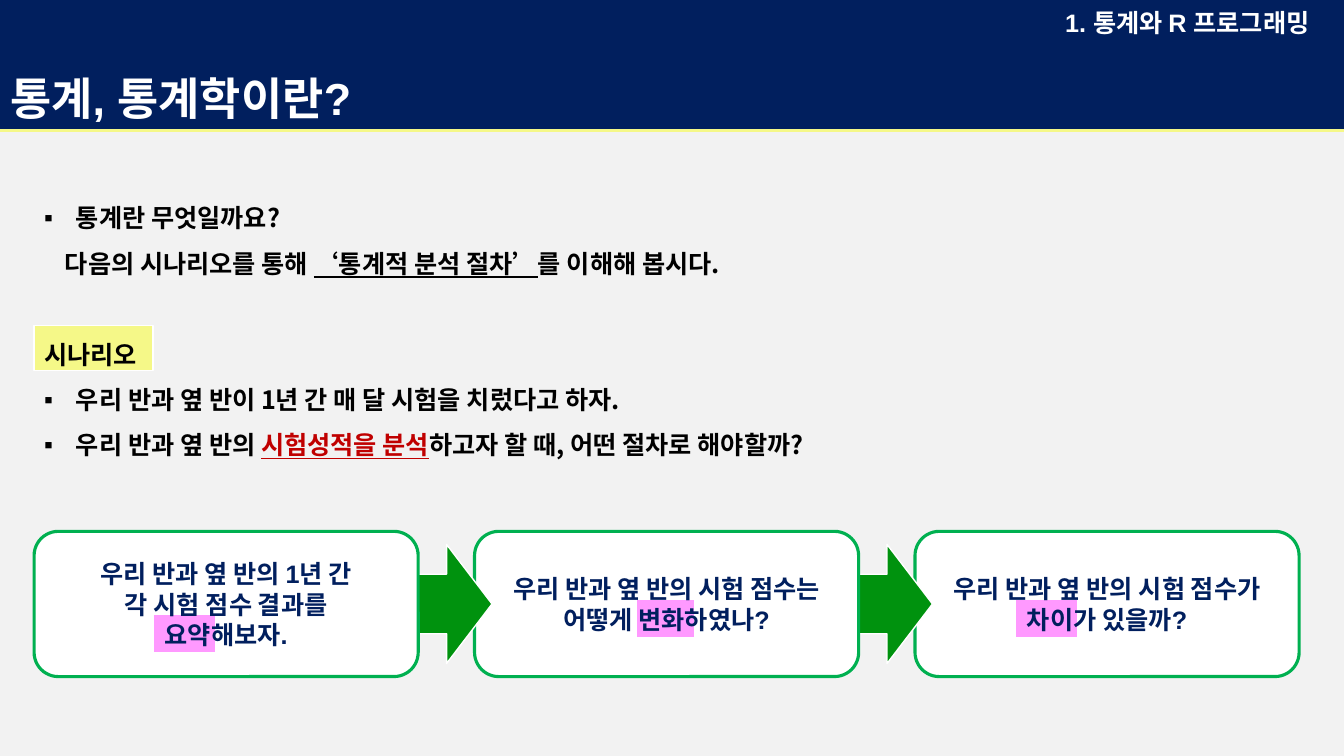
from dataclasses import dataclass

from lxml import etree
from pptx import Presentation
from pptx.dml.color import RGBColor
from pptx.enum import shapes, text
from pptx.oxml import ns
from pptx.util import Cm, Pt


@dataclass(frozen=True)
class Theme:
    latin: str = "Arial"
    korean: str = "Noto Sans CJK KR"
    title_size: int = 32
    text_size: int = 18
    line_size: float = 2.25
    thin_line: float = 1
    background: str = "F2F2F2"
    navy: str = "011F5E"
    white: str = "FFFFFF"
    black: str = "000000"
    red: str = "C00000"
    yellow: str = "F5F888"
    pink: str = "FF99FF"
    border: str = "00B050"
    arrow: str = "00920E"


WIDTH, HEIGHT, BAND_HEIGHT = 33.87, 19.05, 3.28
MARGIN = 0.86
CARD_TOP, CARD_WIDTH, CARD_HEIGHT, CARD_STEP = 13.39, 9.68, 3.66, 11.1
ARROW_OFFSET = 9.25

# Text of each card, with left, top and width of its marked word
CARDS = [
    (["우리 반과 옆 반의 1년 간", "각 시험 점수 결과를", "요약해보자."], (3.86, 15.49, 1.57)),
    (["우리 반과 옆 반의 시험 점수는 어떻게 변화하였나?"], (16.03, 15.09, 1.47)),
    (["우리 반과 옆 반의 시험 점수가 차이가 있을까?"], (25.6, 15.09, 1.57)),
]

# Each paragraph: bulleted, left indent, space before, runs of (text, colour, underlined)
BLACK = Theme.black
BODY = [
    (True, 0.8, 0, [("통계란 무엇일까요?", BLACK, False)]),
    (False, 0.52, 0, [("다음의 시나리오를 통해 ", BLACK, False),
                      ("‘통계적 분석 절차’", BLACK, True),
                      ("를 이해해 봅시다.", BLACK, False)]),
    (False, 0, 32.5, [("시나리오", BLACK, False)]),
    (True, 0.8, 0, [("우리 반과 옆 반이 1년 간 매 달 시험을 치렀다고 하자.", BLACK, False)]),
    (True, 0.8, 0, [("우리 반과 옆 반의 ", BLACK, False),
                    ("시험성적을 분석", Theme.red, True),
                    ("하고자 할 때, 어떤 절차로 해야할까?", BLACK, False)]),
]


class SlideBuilder:
    def __init__(self, presentation, theme):
        self.theme = theme
        self.slide = presentation.slides.add_slide(presentation.slide_layouts[1])
        self.paint(self.slide.background.fill, theme.background)

    def paint(self, fill, color):
        fill.solid()
        fill.fore_color.rgb = RGBColor.from_string(color)

    def place(self, shape, left, top, width, height):
        shape.left, shape.top = Cm(left), Cm(top)
        shape.width, shape.height = Cm(width), Cm(height)

    def style_run(self, run, color, size=None, latin=None):
        font = run.font
        font.name = latin or self.theme.latin
        font.size = Pt(size or self.theme.text_size)
        font.bold = True
        font.color.rgb = RGBColor.from_string(color)
        east_asian = etree.SubElement(run._r.get_or_add_rPr(), ns.qn("a:ea"))
        east_asian.set("typeface", self.theme.korean)

    def set_bullet(self, paragraph, bulleted, indent):
        properties = paragraph._p.get_or_add_pPr()
        properties.set("marL", str(Cm(indent)))
        properties.set("indent", str(-Cm(indent) if bulleted else 0))
        if bulleted:
            etree.SubElement(properties, ns.qn("a:buChar")).set("char", "▪")
        else:
            etree.SubElement(properties, ns.qn("a:buNone"))

    def title(self, content):
        shape = self.slide.shapes.title
        self.place(shape, 0, 0, WIDTH, BAND_HEIGHT)
        self.paint(shape.fill, self.theme.navy)
        frame = shape.text_frame
        frame.text = content
        frame.auto_size = text.MSO_AUTO_SIZE.NONE
        frame.vertical_anchor = text.MSO_ANCHOR.BOTTOM
        paragraph = frame.paragraphs[0]
        paragraph.alignment = text.PP_ALIGN.LEFT
        paragraph.line_spacing = 0.9
        self.style_run(paragraph.runs[0], self.theme.white, self.theme.title_size)

    def body(self, paragraphs, *box):
        shape = self.slide.placeholders[1]
        self.place(shape, *box)
        frame = shape.text_frame
        frame.auto_size = text.MSO_AUTO_SIZE.NONE
        for index, (bulleted, indent, gap, runs) in enumerate(paragraphs):
            paragraph = frame.add_paragraph() if index else frame.paragraphs[0]
            paragraph.line_spacing = 1.5
            paragraph.space_before = Pt(gap)
            self.set_bullet(paragraph, bulleted, indent)
            for content, color, underlined in runs:
                run = paragraph.add_run()
                run.text = content
                self.style_run(run, color, latin=self.theme.korean)
                run.font.underline = underlined

    def box(self, kind, fill, line, line_size, *box):
        shape = self.slide.shapes.add_shape(kind, *map(Cm, box))
        shape.shadow.inherit = False
        self.paint(shape.fill, fill)
        shape.line.color.rgb = RGBColor.from_string(line)
        shape.line.width = Pt(line_size)
        return shape

    def marker(self, color, *box):
        return self.box(shapes.MSO_SHAPE.RECTANGLE, color, self.theme.white,
                        self.theme.thin_line, *box)

    def send_to_back(self, shape):
        self.slide.shapes.title._element.addprevious(shape._element)

    def label(self, lines, color, alignment, anchor, wrap, *box):
        frame = self.slide.shapes.add_textbox(*map(Cm, box)).text_frame
        frame.word_wrap = wrap
        frame.vertical_anchor = anchor
        frame.text = "\n".join(lines)
        for paragraph in frame.paragraphs:
            paragraph.alignment = alignment
            self.style_run(paragraph.runs[0], color)

    def card(self, left, lines, mark):
        box = (left, CARD_TOP, CARD_WIDTH, CARD_HEIGHT)
        self.box(shapes.MSO_SHAPE.ROUNDED_RECTANGLE, self.theme.white,
                 self.theme.border, self.theme.line_size, *box)
        mark_left, mark_top, mark_width = mark
        self.marker(self.theme.pink, mark_left, mark_top, mark_width, 0.97)
        self.label(lines, self.theme.navy, text.PP_ALIGN.CENTER,
                   text.MSO_ANCHOR.MIDDLE, True, *box)

    def arrow(self, left):
        self.box(shapes.MSO_SHAPE.RIGHT_ARROW, self.theme.arrow, self.theme.white,
                 self.theme.thin_line, left, 13.72, 2.29, 3)

    def rule(self, top):
        line = self.slide.shapes.add_connector(
            shapes.MSO_CONNECTOR.STRAIGHT, 0, Cm(top), Cm(WIDTH), Cm(top))
        line.line.color.rgb = RGBColor.from_string(self.theme.yellow)
        line.line.width = Pt(self.theme.line_size)
        etree.SubElement(line._element.spPr, ns.qn("a:effectLst"))


def main():
    presentation = Presentation()
    presentation.slide_width, presentation.slide_height = Cm(WIDTH), Cm(HEIGHT)
    theme = Theme()
    builder = SlideBuilder(presentation, theme)

    builder.title("통계, 통계학이란?")
    builder.body(BODY, MARGIN, 4.6, 22, 7.04)
    builder.send_to_back(builder.marker(theme.yellow, MARGIN, 8.2, 3, 1.14))

    # From right to left, so that each arrow tip lies over the next card
    for index, (lines, mark) in reversed(list(enumerate(CARDS))):
        left = MARGIN + index * CARD_STEP
        if index < len(CARDS) - 1:
            builder.arrow(left + ARROW_OFFSET)
        builder.card(left, lines, mark)

    builder.rule(BAND_HEIGHT)
    builder.label(["1. 통계와 R 프로그래밍"], theme.white, text.PP_ALIGN.LEFT,
                  text.MSO_ANCHOR.TOP, False, 26.59, 0.05, 7.28, 1.02)
    presentation.save("out.pptx")


if __name__ == "__main__":
    main()
